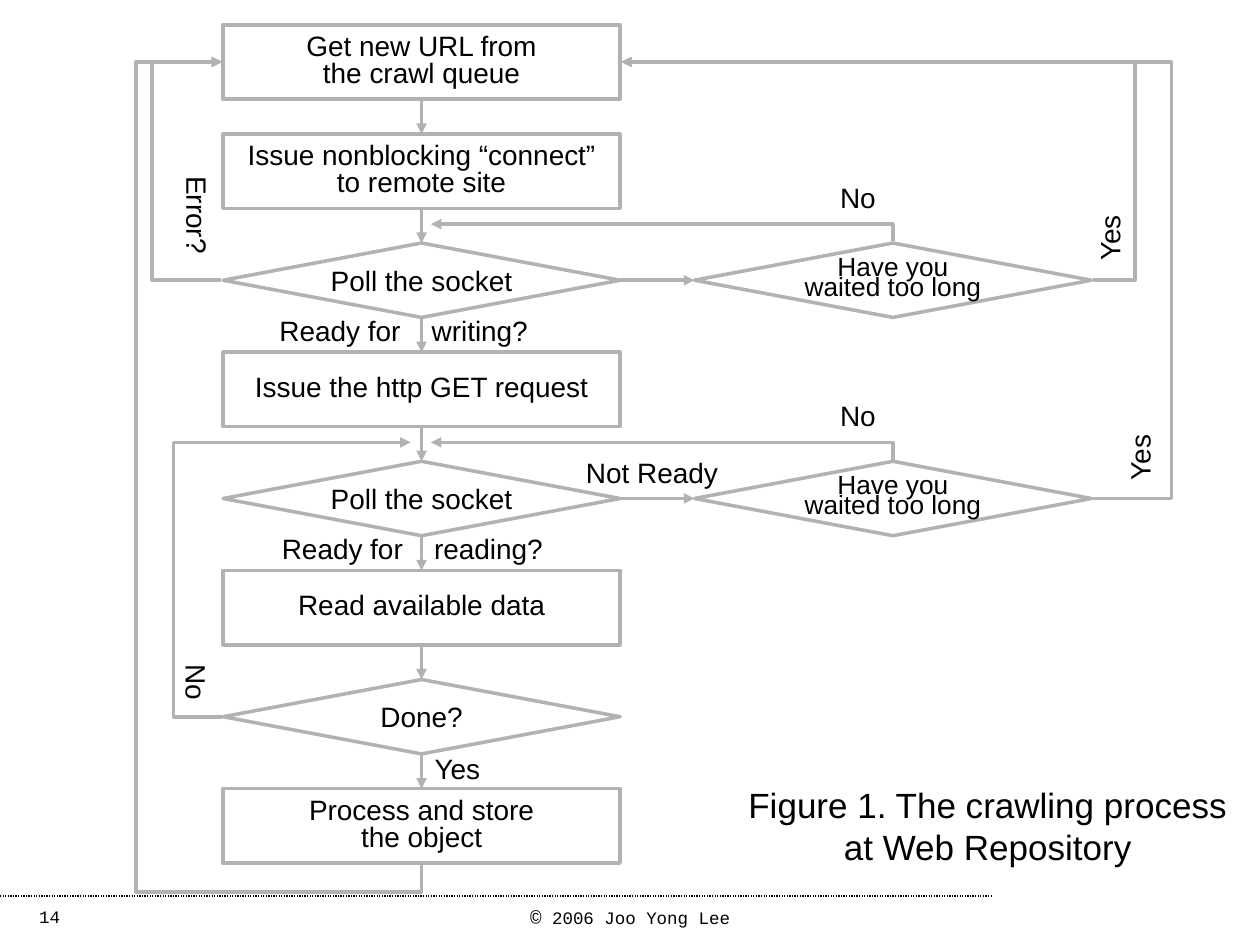
from pptx import Presentation
from pptx.dml.color import RGBColor as RGB
from pptx.enum.dml import MSO_LINE as Dash
from pptx.enum.shapes import MSO_CONNECTOR as Link, MSO_SHAPE as Form
from pptx.enum.text import MSO_ANCHOR as Anchor, MSO_AUTO_SIZE as Fit, PP_ALIGN as Align
from pptx.oxml.ns import qn
from pptx.util import Pt
from lxml.etree import SubElement as Sub

HUES = {"ink": "000000", "line": "B2B2B2", "paper": "FFFFFF"}
TOP, STEP, WIDE, HIGH = 14.17, 62.36, 226.8, 42.52
LEFT, RIGHT = 127.5, 396.85
AXIS = LEFT + WIDE / 2


def mid(row):
    return TOP + row * STEP + HIGH / 2


class Chart:
    def __init__(self, slide, font="Arial", size=16, weight=2):
        self.slide, self.font, self.size, self.weight = slide, font, size, weight

    def hue(self, name):
        return RGB.from_string(HUES[name])

    def text(self, frame, paras, size=None, font=None, space=None, align=Align.CENTER, tab=None):
        """Each paragraph is a string or a list of (text, size) runs."""
        for i, para in enumerate(paras):
            p = frame.paragraphs[0] if i == 0 else frame.add_paragraph()
            p.alignment = align
            if space:
                p.line_spacing = space
            if tab:
                stops = Sub(p._p.get_or_add_pPr(), qn("a:tabLst"))
                Sub(stops, qn("a:tab"), pos=str(Pt(tab)), algn="l")
            runs = [(para, size or self.size)] if isinstance(para, str) else para
            for words, points in runs:
                r = p.add_run()
                r.text = words
                r.font.name, r.font.size = font or self.font, Pt(points)
                r.font.color.rgb = self.hue("ink")

    def label(self, x, y, w, h, paras, turn=0, align=Align.LEFT, **look):
        box = self.slide.shapes.add_textbox(Pt(x), Pt(y), Pt(w), Pt(h))
        box.rotation = turn
        box.text_frame.word_wrap = False
        box.text_frame.auto_size = Fit.SHAPE_TO_FIT_TEXT
        self.text(box.text_frame, paras, align=align, **look)

    def foot(self, x, w, paras):
        box = self.slide.shapes.add_textbox(Pt(x), Pt(512), Pt(w), Pt(28))
        frame = box.text_frame
        frame.margin_left = frame.margin_right = frame.margin_top = 0
        frame.margin_bottom = Pt(4.3)
        frame.vertical_anchor = Anchor.MIDDLE
        frame.word_wrap = True
        self.text(frame, paras, size=10, font="Courier New")

    def panel(self, x, y, w, h):
        box = self.slide.shapes.add_shape(Form.RECTANGLE, Pt(x), Pt(y), Pt(w), Pt(h))
        box.shadow.inherit = False
        box.fill.solid()
        box.fill.fore_color.rgb = self.hue("paper")
        box.line.fill.background()

    def node(self, form, x, row, paras, **look):
        box = self.slide.shapes.add_shape(form, Pt(x), Pt(TOP + row * STEP), Pt(WIDE), Pt(HIGH))
        box.shadow.inherit = False
        box.fill.background()
        box.line.color.rgb = self.hue("line")
        box.line.width = Pt(self.weight)
        box.text_frame.word_wrap = form == Form.FLOWCHART_PROCESS
        box.text_frame.vertical_anchor = Anchor.MIDDLE
        self.text(box.text_frame, paras, **look)
        return box

    def line(self, start, end, tip="tailEnd", kind=Link.STRAIGHT, hue="line", weight=None, dash=None):
        link = self.slide.shapes.add_connector(kind, *map(Pt, start + end))
        link.line.color.rgb = self.hue(hue)
        link.line.width = Pt(weight or self.weight)
        if dash:
            link.line.dash_style = dash
        props = link._element.spPr
        if tip:
            Sub(props.find(qn("a:ln")), qn("a:" + tip), type="triangle")
        Sub(props, qn("a:effectLst"))
        return link

    def join(self, a, b, out, into):
        link = self.line((0, 0), (0, 0))
        link.begin_connect(a, out)
        link.end_connect(b, into)

    def bend(self, *points, tip="tailEnd"):
        """Elbow through 3 to 5 points, leaving the first one sideways."""
        (x, y), (u, v) = points[0], points[-1]
        link = self.line(points[0], points[-1], tip, Link.ELBOW)
        geom = link._element.spPr.find(qn("a:prstGeom"))
        geom.set("prst", f"bentConnector{len(points) - 1}")
        turns = []
        if len(points) > 3:
            turns.append((points[1][0] - x) / (u - x))
        if len(points) > 4:
            turns.append((points[2][1] - y) / (v - y))
        guides = geom.find(qn("a:avLst"))
        for i, turn in enumerate(turns, 1):
            Sub(guides, qn("a:gd"), name=f"adj{i}", fmla=f"val {round(turn * 100000)}")


def main():
    deck = Presentation()
    deck.slide_width, deck.slide_height = Pt(720), Pt(540)
    slide = deck.slides.add_slide(deck.slide_layouts[6])
    art = Chart(slide)
    slide.background.fill.solid()
    slide.background.fill.fore_color.rgb = art.hue("paper")

    # Footer and header panel
    art.line((0, 512), (566.9, 512), tip=None, hue="ink", weight=0.75, dash=Dash.ROUND_DOT)
    art.foot(283.5, 153, [[("©", 11), (" 2006 Joo Yong Lee", 10)]])
    art.foot(0, 56.7, ["14"])
    art.panel(56.7, 0, 663.3, 85)

    # Waiting decisions on the right
    step, test = Form.FLOWCHART_PROCESS, Form.FLOWCHART_DECISION
    waits = {row: art.node(test, RIGHT, row, ["Have you", "waited too long"], size=15, space=0.65)
             for row in (2, 4)}

    # Main column
    flow = [
        (step, ["Get new URL from", "the crawl queue"]),
        (step, ["Issue nonblocking “connect” to remote site"]),
        (test, ["Poll the socket"]),
        (step, ["Issue the http GET request"]),
        (test, ["Poll the socket"]),
        (step, ["Read available data"]),
        (test, ["Done?"]),
        (step, ["Process and store", "the object"]),
    ]
    nodes = [art.node(form, LEFT, row, paras, space=0.8 if form == step else None)
             for row, (form, paras) in enumerate(flow)]
    for a, b in zip(nodes, nodes[1:]):
        art.join(a, b, 2, 0)

    # Loops on the right
    hub, edge = AXIS + 5.3, RIGHT + WIDE
    for row, lane in ((2, 648.7), (4, 669.6)):
        top = TOP + row * STEP
        art.join(nodes[row], waits[row], 3, 1)
        art.bend((edge + 0.7, mid(row)), (lane, mid(row)), (lane, mid(0)), (355, mid(0)))
        art.bend((hub, top - 10.8), (RIGHT + WIDE / 2, top - 10.8),
                 (RIGHT + WIDE / 2, top - 1), tip="headEnd")
        art.label(473, top - 39.4, 36, 26.6, ["No"])

    # Loops on the left
    back = TOP + 4 * STEP - 10.8
    art.bend((126.5, mid(2)), (87.8, mid(2)), (87.8, mid(0)), (127, mid(0)))
    art.bend((127, mid(0)), (77.8, mid(0)), (77.8, 509.8), (AXIS, 509.8),
             (AXIS, 493.6), tip="headEnd")
    art.bend((126.8, mid(6)), (99.2, mid(6)), (99.2, back), tip=None)
    art.line((98.8, back), (AXIS - 6.2, back))

    # Branch labels
    art.label(628.6, 245.5, 45.4, 26.6, ["Yes"], turn=270)
    art.label(611.3, 120.2, 45.4, 26.6, ["Yes"], turn=270)
    art.label(82.8, 110.2, 59.8, 26.6, ["Error?"], turn=90)
    art.label(94.3, 377.3, 36, 26.6, ["No"], turn=90)
    art.label(326.9, 262, 91.4, 20.9, ["Not Ready"], space=0.7, align=Align.CENTER)
    art.label(152.6, 175.7, 162, 26.6, ["Ready for\twriting?"], tab=87)
    art.label(154, 300.3, 167.8, 26.6, ["Ready for\treading?"], tab=87)
    art.label(241.2, 426.2, 51, 26.6, ["Yes"])

    # Caption
    art.label(414.7, 444.2, 299.5, 55.4, ["Figure 1. The crawling process", "at Web Repository"],
              size=20, align=Align.CENTER)
    deck.save("out.pptx")


if __name__ == "__main__":
    main()
